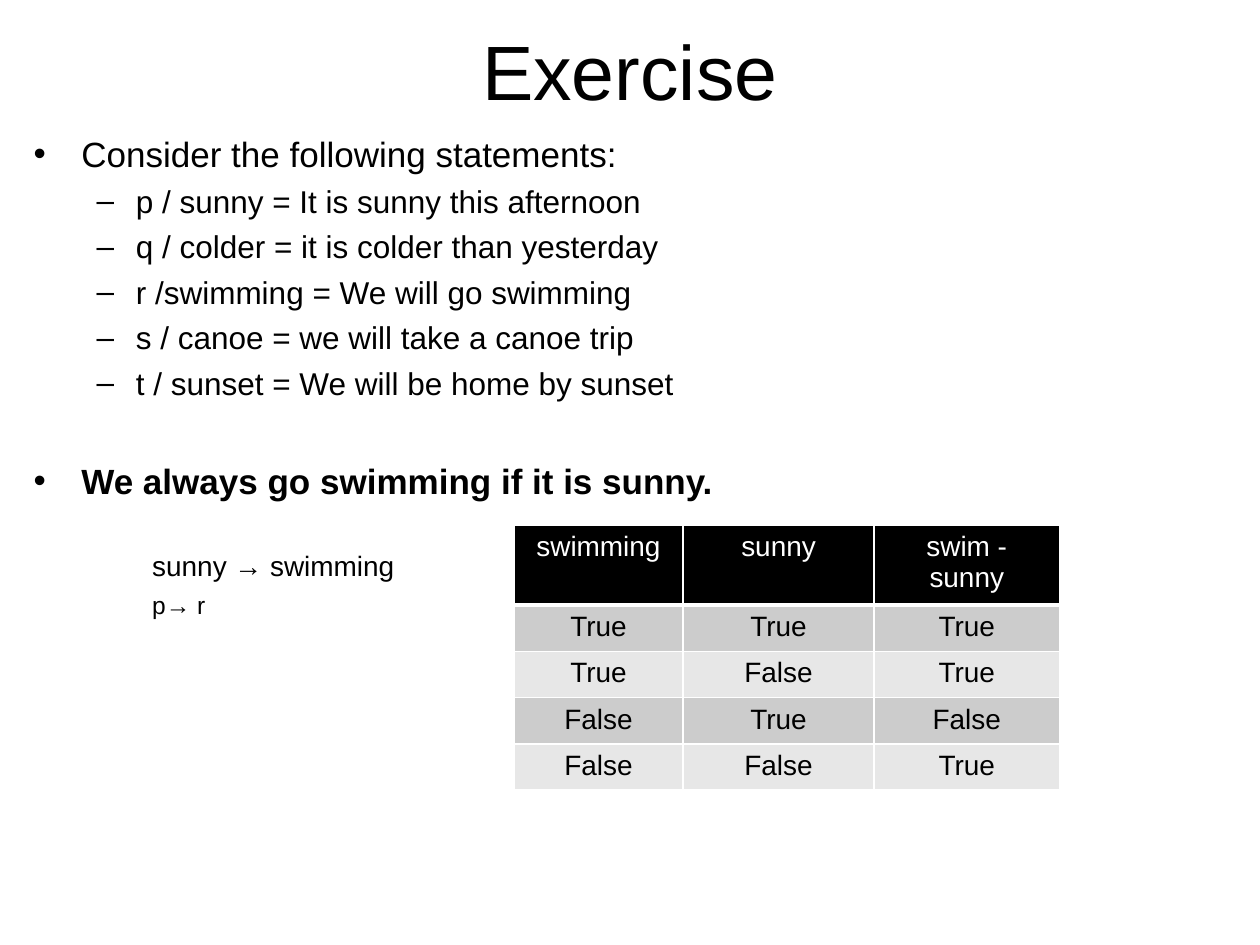
from collections import namedtuple
from dataclasses import dataclass

from pptx import Presentation
from pptx.dml.color import RGBColor
from pptx.enum import text
from pptx.oxml import parse_xml
from pptx.oxml.ns import nsdecls
from pptx.util import Cm, Pt

Box = namedtuple("Box", "left top width height")
Level = namedtuple("Level", "margin indent bullet")


@dataclass(frozen=True)
class Theme:
    font: str = "Arial"
    ink: str = "000000"
    paper: str = "FFFFFF"
    bands: tuple = ("CCCCCC", "E7E7E7")
    title: int = 44
    lead: int = 20
    item: int = 18
    cell: int = 16
    small: int = 14


THEME = Theme()
TOPIC = Level(0.96, -0.96, "•")
ITEM = Level(2.06, -0.79, "–")
FORMULA = Level(2.39, 0, None)

STATEMENTS = [
    "p / sunny = It is sunny this afternoon",
    "q / colder = it is colder than yesterday",
    "r /swimming = We will go swimming",
    "s / canoe = we will take a canoe trip",
    "t / sunset = We will be home by sunset",
]
TRUTH_TABLE = [
    ("swimming", "sunny", "swim - sunny"),
    ("True", "True", "True"),
    ("True", "False", "True"),
    ("False", "True", "False"),
    ("False", "False", "True"),
]


def write(para, words, size, color=THEME.ink, bold=False, align=None, before=0):
    para.alignment = align
    para.space_before = Pt(before)
    span = para.add_run()
    span.text = words
    span.font.name = THEME.font
    span.font.size = Pt(size)
    span.font.bold = bold
    span.font.color.rgb = RGBColor.from_string(color)


def set_level(para, level):
    """Indent the paragraph and give it the bullet of its level."""
    props = para._p.get_or_add_pPr()
    props.set("marL", str(Cm(level.margin)))
    props.set("indent", str(Cm(level.indent)))
    if level.bullet:
        props.append(parse_xml(
            f'<a:buFont {nsdecls("a")} typeface="{THEME.font}"/>'))
        props.append(parse_xml(
            f'<a:buChar {nsdecls("a")} char="{level.bullet}"/>'))


def add_frame(page, box, anchor):
    frame = page.shapes.add_textbox(*map(Cm, box)).text_frame
    frame.word_wrap = True
    frame.vertical_anchor = anchor
    return frame


def add_title(page, box):
    frame = add_frame(page, box, text.MSO_ANCHOR.MIDDLE)
    write(frame.paragraphs[0], "Exercise", THEME.title,
          align=text.PP_ALIGN.CENTER)


def add_body(page, box):
    frame = add_frame(page, box, text.MSO_ANCHOR.TOP)
    gap = 4.4
    lines = [
        ("Consider the following statements:", TOPIC, THEME.lead, gap),
        *[(words, ITEM, THEME.item, gap) for words in STATEMENTS],
        ("We always go swimming if it is sunny.", TOPIC, THEME.lead, 33),
        ("sunny → swimming", FORMULA, THEME.cell, 27),
        ("p→ r", FORMULA, THEME.small, gap),
    ]
    for index, (words, level, size, before) in enumerate(lines):
        para = frame.add_paragraph() if index else frame.paragraphs[0]
        write(para, words, size, before=before,
              bold=words.startswith("We always"))
        set_level(para, level)


def set_borders(cell, bottom):
    """Draw white borders of 1 pt, with the bottom one as wide as asked."""
    props = cell._tc.get_or_add_tcPr()
    widths = {"lnL": 1, "lnR": 1, "lnT": 1, "lnB": bottom}
    for index, (side, width) in enumerate(widths.items()):
        props.insert(index, parse_xml(
            f'<a:{side} {nsdecls("a")} w="{Pt(width)}"><a:solidFill>'
            f'<a:srgbClr val="{THEME.paper}"/></a:solidFill></a:{side}>'))


def add_truth_table(page, box):
    table = page.shapes.add_table(
        len(TRUTH_TABLE), len(TRUTH_TABLE[0]), *map(Cm, box)).table
    for column, share in zip(table.columns, (0.31, 0.35, 0.34)):
        column.width = Cm(box.width * share)
    for index, values in enumerate(TRUTH_TABLE):
        header = index == 0
        table.rows[index].height = Cm(1.07 if header else 0.81)
        fill = THEME.ink if header else THEME.bands[(index - 1) % 2]
        for cell, words in zip(table.rows[index].cells, values):
            cell.fill.solid()
            cell.fill.fore_color.rgb = RGBColor.from_string(fill)
            set_borders(cell, bottom=3 if header else 1)
            write(cell.text_frame.paragraphs[0], words, THEME.cell,
                  color=THEME.paper if header else THEME.ink,
                  align=text.PP_ALIGN.CENTER)


def main():
    deck = Presentation()
    deck.slide_width, deck.slide_height = Cm(25.4), Cm(19.05)
    page = deck.slides.add_slide(deck.slide_layouts[6])
    add_title(page, Box(1.27, 0.08, 22.86, 2.67))
    add_body(page, Box(0.43, 2.54, 24.56, 14.48))
    add_truth_table(page, Box(10.36, 10.59, 11, 5.33))
    deck.save("out.pptx")


if __name__ == "__main__":
    main()
